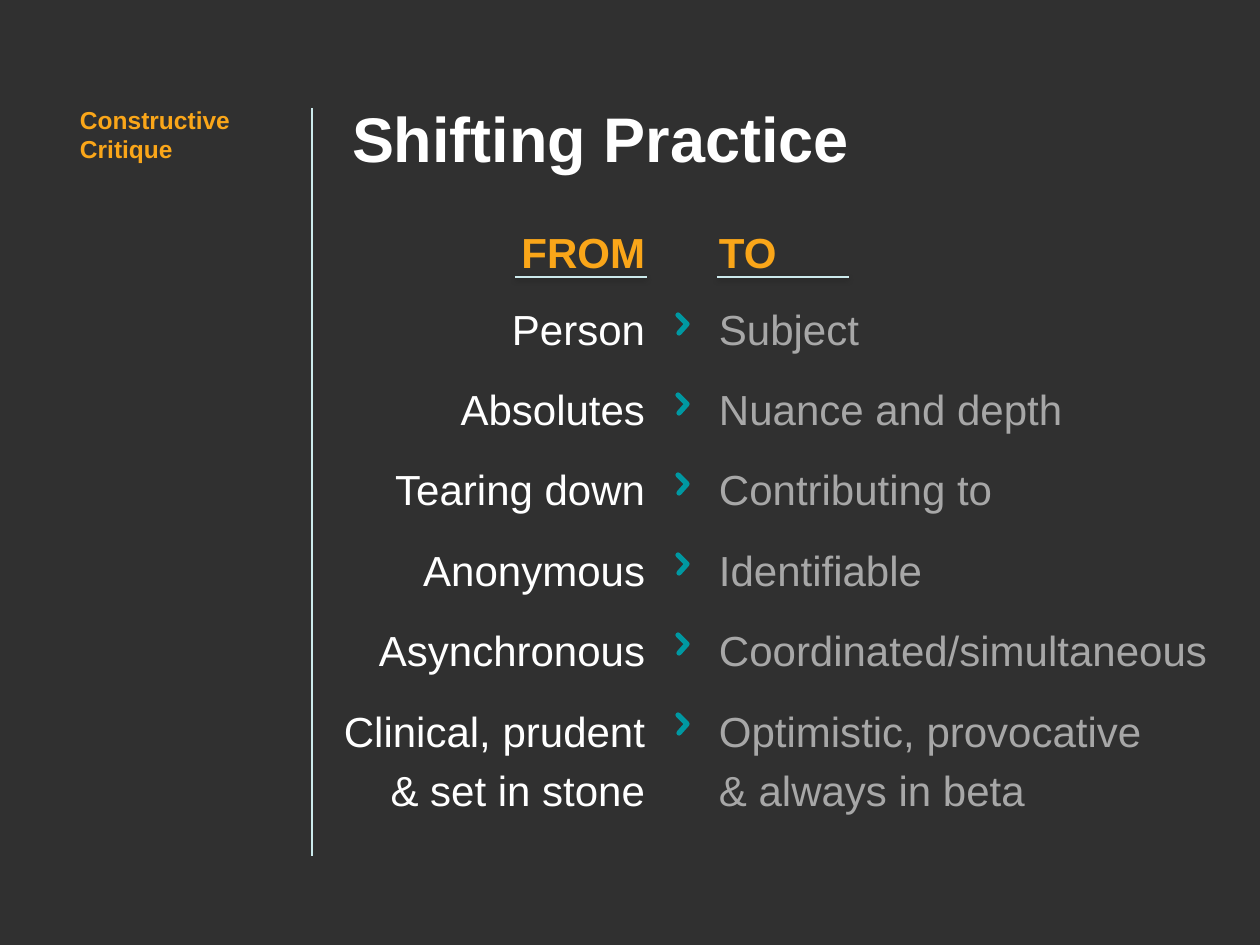
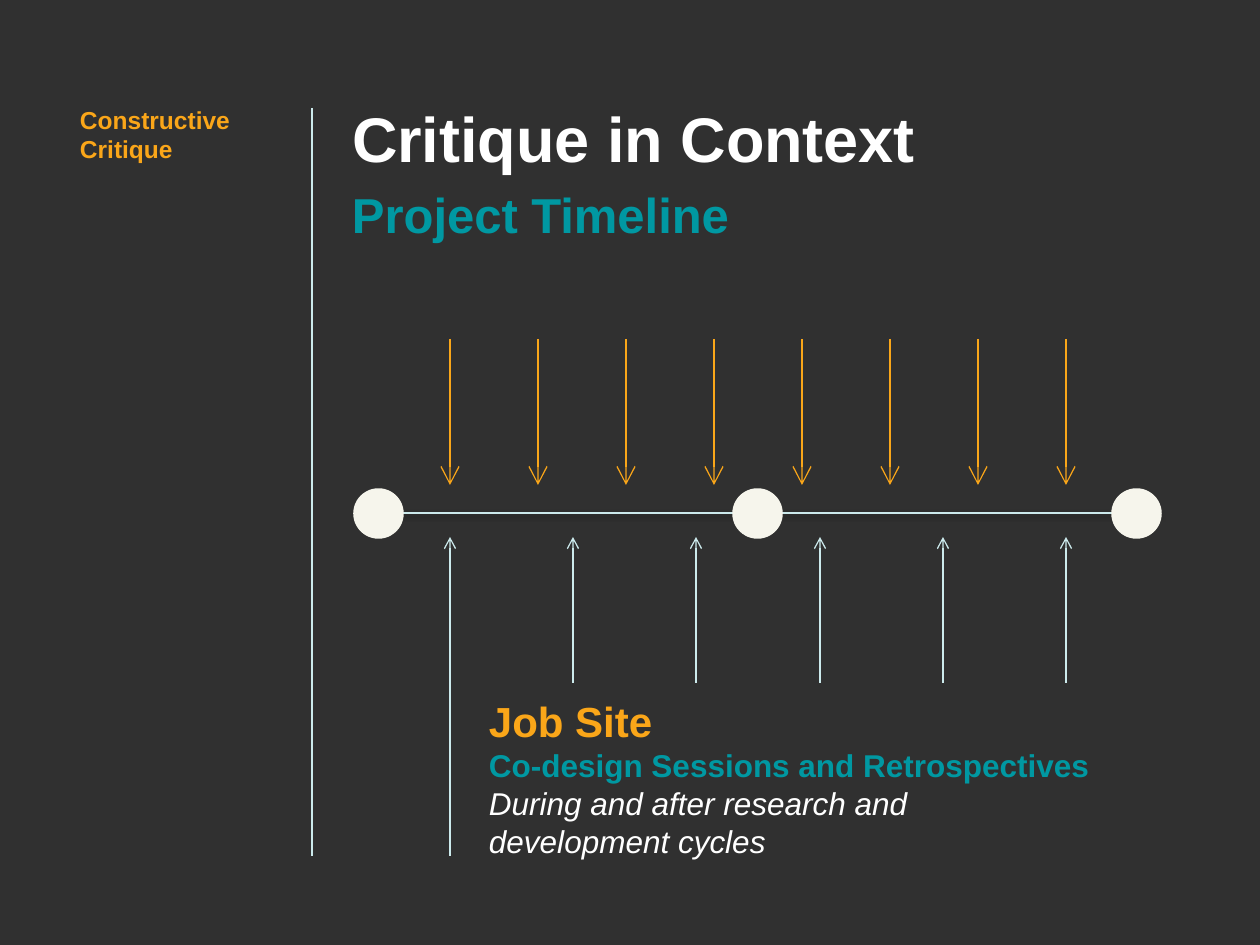
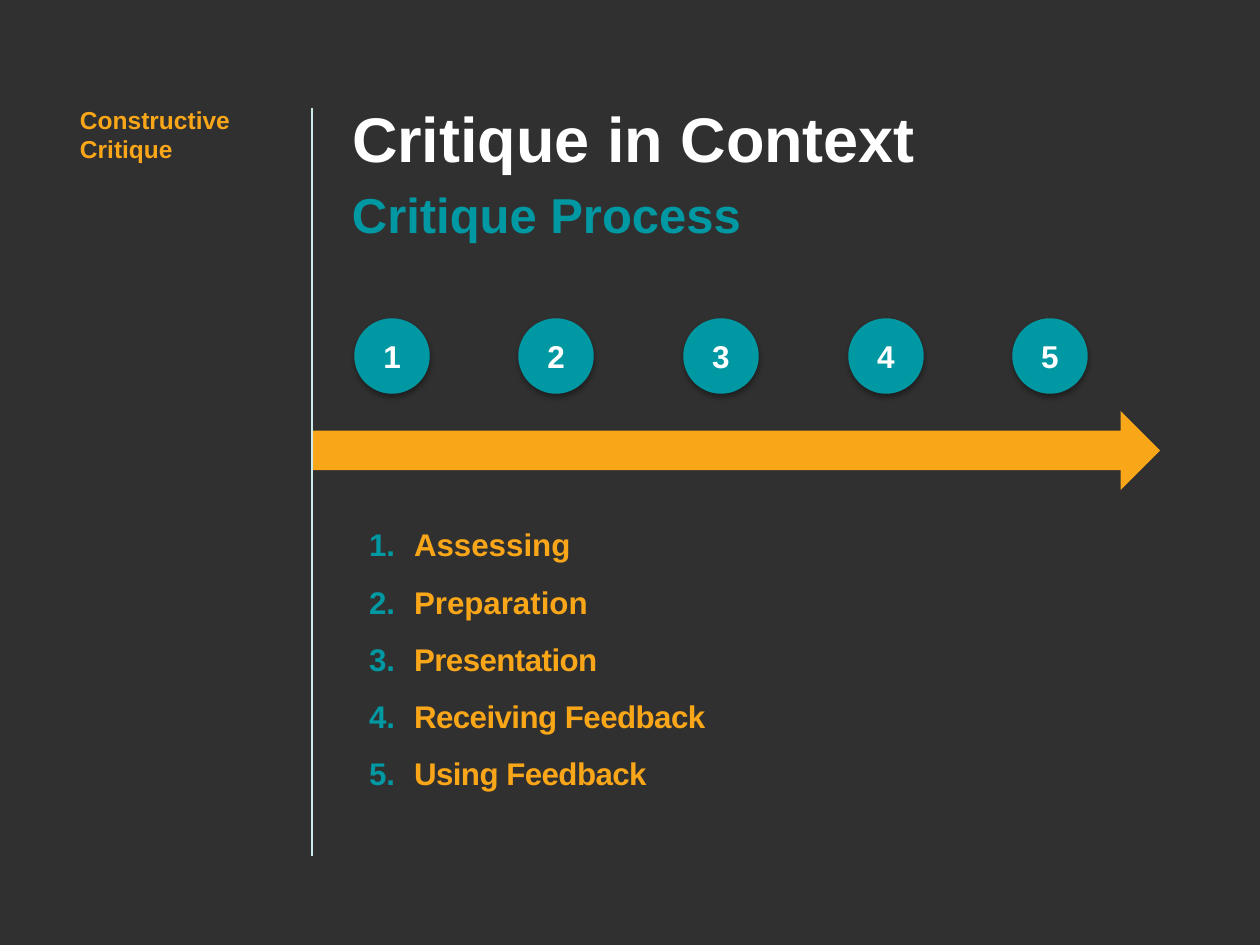
from dataclasses import dataclass

from lxml.etree import SubElement
from pptx import Presentation
from pptx.dml.color import RGBColor
from pptx.enum.shapes import MSO_CONNECTOR, MSO_SHAPE
from pptx.enum.text import MSO_ANCHOR, MSO_AUTO_SIZE, PP_ALIGN
from pptx.oxml.ns import qn
from pptx.util import Emu, Pt

PX = 914400 / 126  # EMU in one px


@dataclass(frozen=True)
class Theme:
    font: str = "Arial"
    bg: str = "303030"
    white: str = "FFFFFF"
    orange: str = "FAA619"
    teal: str = "0098A2"
    grey: str = "A7A7A7"
    pale: str = "CCEAEC"
    cream: str = "F6F5EC"
    title: float = 36
    subtitle: float = 28
    head: float = 24
    body: float = 18
    steps: float = 17.9
    label: float = 14


T = Theme()


def px(n):
    return Emu(round(n * PX))


def rgb(color):
    return RGBColor.from_string(color)


def add_text(tf, text, size=T.body, color=T.white, bold=False, italic=False,
             align=PP_ALIGN.LEFT, line=None, before=None, spacing=None, number=None):
    """Add one paragraph; a newline in the text is a line break."""
    p = tf.paragraphs[0]
    first = not p.runs
    if not first:
        p = tf.add_paragraph()
    p.alignment = align
    if number:
        pPr = p._p.get_or_add_pPr()
        pPr.set("marL", str(px(63)))
        pPr.set("indent", str(px(-45)))
        SubElement(SubElement(pPr, qn("a:buClr")), qn("a:srgbClr"), val=number)
        SubElement(pPr, qn("a:buAutoNum"), type="arabicPeriod")
    if line:
        p.line_spacing = line
    if before and not first:
        p.space_before = Pt(before)
    for i, part in enumerate(text.split("\n")):
        if i:
            p.add_line_break()
        r = p.add_run()
        r.text = part
        f = r.font
        f.name, f.size, f.bold, f.italic = T.font, Pt(size), bold, italic
        f.color.rgb = rgb(color)
        if spacing:
            r._r.get_or_add_rPr().set("spc", str(spacing))


def spread(first, last, count):
    """Evenly spaced positions from first to last."""
    return [round(first + (last - first) * i / (count - 1)) for i in range(count)]


class Deck:
    def __init__(self):
        self.prs = Presentation()
        self.prs.slide_width, self.prs.slide_height = px(1260), px(945)
        fill = self.prs.slide_master.background.fill
        fill.solid()
        fill.fore_color.rgb = rgb(T.bg)
        self.s = None

    def slide(self, title):
        self.s = self.prs.slides.add_slide(self.prs.slide_layouts[5])
        sp = self.s.shapes.title
        sp.left, sp.top, sp.width, sp.height = px(339), px(86), px(777), px(106)
        add_text(self.frame(sp, 13), title, size=T.title, bold=True)
        add_text(self.box(67, 92, 226, 84), "Constructive Critique",
                 size=T.label, color=T.orange, bold=True)

    def frame(self, sp, inset, anchor=MSO_ANCHOR.TOP):
        tf = sp.text_frame
        tf.word_wrap, tf.auto_size = True, MSO_AUTO_SIZE.NONE
        tf.vertical_anchor = anchor
        tf.margin_left = tf.margin_top = tf.margin_right = tf.margin_bottom = px(inset)
        return tf

    def box(self, x, y, w, h, inset=13):
        return self.frame(self.s.shapes.add_textbox(px(x), px(y), px(w), px(h)), inset)

    def subtitle(self, text, width):
        add_text(self.box(346, 178, width, 72, inset=6), text,
                 size=T.subtitle, color=T.teal, bold=True)

    def effect(self, sp, shadow=None):
        """Replace the theme shadow; shadow is opacity %, distance in points."""
        effects = SubElement(sp._element.spPr, qn("a:effectLst"))
        if shadow:
            alpha, dist = shadow
            outer = SubElement(effects, qn("a:outerShdw"), blurRad=str(Pt(3)),
                               dist=str(Pt(dist)), dir="5400000", rotWithShape="0")
            clr = SubElement(outer, qn("a:srgbClr"), val="000000")
            SubElement(clr, qn("a:alpha"), val=str(alpha * 1000))

    def line(self, x1, y1, x2, y2, color=T.pale, arrow=None, shadow=None):
        c = self.s.shapes.add_connector(MSO_CONNECTOR.STRAIGHT,
                                        px(x1), px(y1), px(x2), px(y2))
        c.line.color.rgb = rgb(color)
        c.line.width = Pt(0.75)
        if arrow:
            SubElement(c.line._get_or_add_ln(), qn("a:tailEnd"),
                       type="arrow", w=arrow, len=arrow)
        self.effect(c, shadow)

    def divider(self):
        self.line(312, 108, 312, 856)

    def shape(self, kind, x, y, w, h, color, outline=False, shadow=None):
        sp = self.s.shapes.add_shape(kind, px(x), px(y), px(w), px(h))
        sp.fill.solid()
        sp.fill.fore_color.rgb = rgb(color)
        if outline:
            sp.line.color.rgb = rgb(color)
            sp.line.width = Pt(2)
        else:
            sp.line.fill.background()
        self.effect(sp, shadow)
        return sp

    def chevron(self, x, y):
        fb = self.s.shapes.build_freeform(px(x + 1), px(y + 18))
        fb.add_line_segments([(px(x + 9), px(y + 9)), (px(x), px(y))], close=False)
        sp = fb.convert_to_shape()
        sp.fill.background()
        sp.line.color.rgb = rgb(T.teal)
        sp.line.width = Pt(3)
        ln = sp.line._get_or_add_ln()
        ln.set("cap", "rnd")
        SubElement(ln, qn("a:round"))
        self.effect(sp)


LINE_SHADOW = (38, 1.6)
BALL_SHADOW = (35, 1.8)


def shifting_practice(d):
    d.slide("Shifting Practice")
    pairs = [
        ("Person", "Subject"),
        ("Absolutes", "Nuance and depth"),
        ("Tearing down", "Contributing to"),
        ("Anonymous", "Identifiable"),
        ("Asynchronous", "Coordinated/simultaneous"),
        ("Clinical, prudent\n& set in stone", "Optimistic, provocative\n& always in beta"),
    ]
    before, after = zip(*pairs)
    columns = [
        ("FROM", before, 339, 306, T.white, PP_ALIGN.RIGHT),
        ("TO", after, 719, 505, T.grey, PP_ALIGN.LEFT),
    ]
    for heading, items, x, w, color, align in columns:
        tf = d.box(x, 217, w, 195, inset=0)
        fmt = dict(size=T.head, align=align, line=Pt(34))
        add_text(tf, heading, color=T.orange, bold=True, **fmt)
        for i, item in enumerate(items):
            add_text(tf, item, color=color, before=12 if i else 10, **fmt)
    for i in range(len(pairs)):
        d.chevron(678, 315 + 80 * i)
    d.divider()
    for x in (515, 717):
        d.line(x, 277, x + 132, 277, shadow=LINE_SHADOW)


def project_timeline(d):
    d.slide("Critique in Context")
    d.divider()

    # Timeline with its milestones
    d.line(355, 513, 1160, 513, shadow=LINE_SHADOW)
    for x in spread(355, 1113, 3):
        d.shape(MSO_SHAPE.OVAL, x, 490, 47, 47, T.cream, outline=True)

    # Example project
    tf = d.box(476, 683, 784, 190)
    add_text(tf, "Job Site", size=T.head, color=T.orange, bold=True)
    add_text(tf, "Co-design Sessions and Retrospectives", color=T.teal, bold=True)
    add_text(tf, "During and after research and\ndevelopment cycles", italic=True)

    # Arrows pointing at the timeline
    for i, x in enumerate(spread(450, 1066, 6)):
        d.line(x, 683 if i else 856, x, 537, arrow="med")
    for x in spread(450, 1066, 8):
        d.line(x, 339, x, 485, color=T.orange, arrow="lg")
    d.subtitle("Project Timeline", 401)


def critique_process(d):
    d.slide("Critique in Context")
    d.subtitle("Critique Process", 591)
    d.shape(MSO_SHAPE.RIGHT_ARROW, 312, 411, 848, 79, T.orange)
    d.divider()

    # Numbered steps and their names
    steps = ["Assessing", "Preparation", "Presentation",
             "Receiving Feedback", "Using Feedback"]
    for n, x in enumerate(spread(356, 1014, len(steps)), 1):
        sp = d.shape(MSO_SHAPE.OVAL, x, 320, 72, 72, T.teal,
                     outline=True, shadow=BALL_SHADOW)
        add_text(d.frame(sp, 6, MSO_ANCHOR.MIDDLE), str(n), bold=True,
                 align=PP_ALIGN.CENTER)
    tf = d.box(338, 509, 887, 393)
    for i, step in enumerate(steps):
        add_text(tf, step, size=T.steps, color=T.orange, bold=True, line=1.1,
                 before=9, spacing=-30 if i > 1 else None, number=T.teal)


def main():
    d = Deck()
    shifting_practice(d)
    project_timeline(d)
    critique_process(d)
    d.prs.save("out.pptx")


if __name__ == "__main__":
    main()
